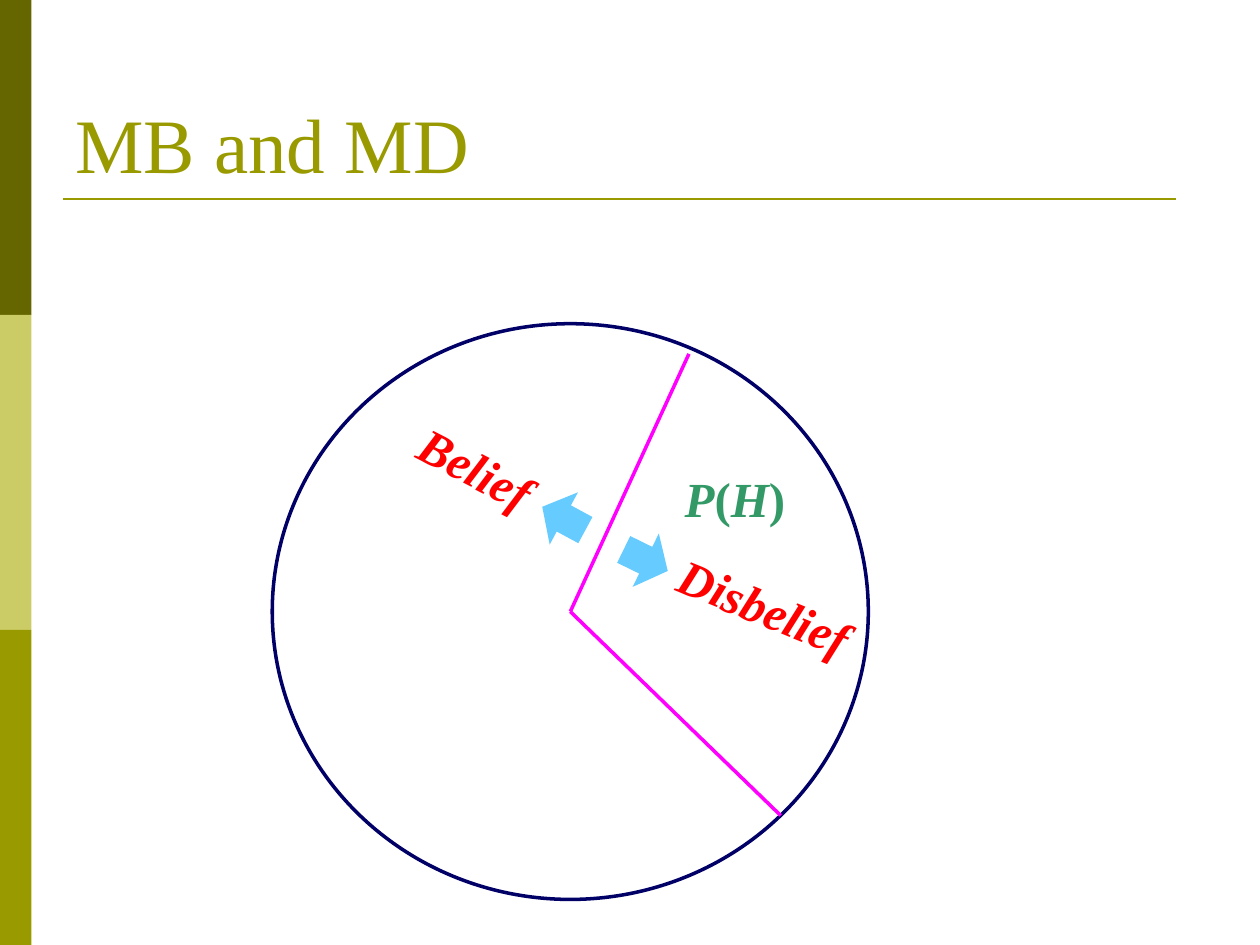
from lxml import etree
from pptx import Presentation
from pptx.dml.color import RGBColor
from pptx.enum.shapes import MSO_CONNECTOR, MSO_SHAPE
from pptx.enum.text import MSO_ANCHOR, PP_ALIGN
from pptx.oxml.ns import qn
from pptx.util import Pt

FONT = "Times New Roman"
COLORS = {
    "dark_olive": "666600",
    "pale_olive": "CCCC66",
    "olive": "999900",
    "circle": "000066",
    "radius": "FF00FF",
    "arrow": "66CCFF",
    "probability": "339966",
    "label": "FF0000",
}


def rgb(name):
    return RGBColor.from_string(COLORS[name])


def add_filled(slide, preset, box, color, rotation=0):
    shape = slide.shapes.add_shape(preset, *map(Pt, box))
    shape.shadow.inherit = False
    shape.fill.solid()
    shape.fill.fore_color.rgb = rgb(color)
    shape.line.fill.background()
    shape.rotation = rotation


def add_line(slide, start, end, color, width):
    line = slide.shapes.add_connector(MSO_CONNECTOR.STRAIGHT, *map(Pt, (*start, *end)))
    line.line.color.rgb = rgb(color)
    line.line.width = Pt(width)
    etree.SubElement(line._element.spPr, qn("a:effectLst"))


def add_text(slide, box, runs, size, color, bold=False, align=PP_ALIGN.LEFT,
             anchor=MSO_ANCHOR.TOP, rotation=0):
    """Add one paragraph made of (text, italic) runs."""
    holder = slide.shapes.add_textbox(*map(Pt, box))
    holder.rotation = rotation
    frame = holder.text_frame
    frame.word_wrap = True
    frame.vertical_anchor = anchor
    paragraph = frame.paragraphs[0]
    paragraph.alignment = align
    for text, italic in runs:
        run = paragraph.add_run()
        run.text = text
        run.font.name = FONT
        run.font.size = Pt(size)
        run.font.bold = bold
        run.font.italic = italic
        run.font.color.rgb = rgb(color)


def add_sidebar(slide, left, top, width, height):
    bands = ("dark_olive", "pale_olive", "olive")
    band_height = height / len(bands)
    for index, color in enumerate(bands):
        add_filled(slide, MSO_SHAPE.RECTANGLE,
                   (left, top + index * band_height, width, band_height), color)


def add_heading(slide, left, top, width, height):
    add_text(slide, (left, top, width, height), [("MB and MD", False)], 44, "olive",
             anchor=MSO_ANCHOR.BOTTOM)
    rule_y = top + height + 2.2
    add_line(slide, (left, rule_y), (left + width - 12, rule_y), "olive", 1.5)


def add_belief_circle(slide, left, top, width, height):
    circle = slide.shapes.add_shape(MSO_SHAPE.OVAL, *map(Pt, (left, top, width, height)))
    circle.shadow.inherit = False
    circle.fill.background()
    circle.line.color.rgb = rgb("circle")
    circle.line.width = Pt(2)

    center_x, center_y = left + width / 2, top + height / 2
    for dx, dy in ((120.2, 116.5), (67.8, -147.3)):
        add_line(slide, (center_x, center_y), (center_x + dx, center_y + dy), "radius", 2)

    add_text(slide, (left + 221.8, top + 79.2, 85, 41),
             [("P", True), ("(", False), ("H", True), (")", False)],
             28, "probability", bold=True, align=PP_ALIGN.CENTER)

    sides = (
        ("Belief", (68.4, 62, 96.5, 41), 27.2, (152.6, 94.3), 28.4),
        ("Disbelief", (219.6, 141.2, 123.8, 41), 22.3, (199.4, 118.1), 206.1),
    )
    for word, (x, y, w, h), tilt, (arrow_x, arrow_y), arrow_tilt in sides:
        add_filled(slide, MSO_SHAPE.LEFT_ARROW,
                   (left + arrow_x, top + arrow_y, 28, 34), "arrow", arrow_tilt)
        add_text(slide, (left + x, top + y, w, h), [(word, True)], 28, "label",
                 bold=True, align=PP_ALIGN.CENTER, rotation=tilt)


def main():
    presentation = Presentation()
    presentation.slide_width, presentation.slide_height = Pt(720), Pt(540)
    slide = presentation.slides.add_slide(presentation.slide_layouts[6])
    add_sidebar(slide, 0, 0, 18, 540)
    add_heading(slide, 36, 21.6, 648, 90)
    add_belief_circle(slide, 155.6, 185, 340.6, 329)
    presentation.save("out.pptx")


if __name__ == "__main__":
    main()
